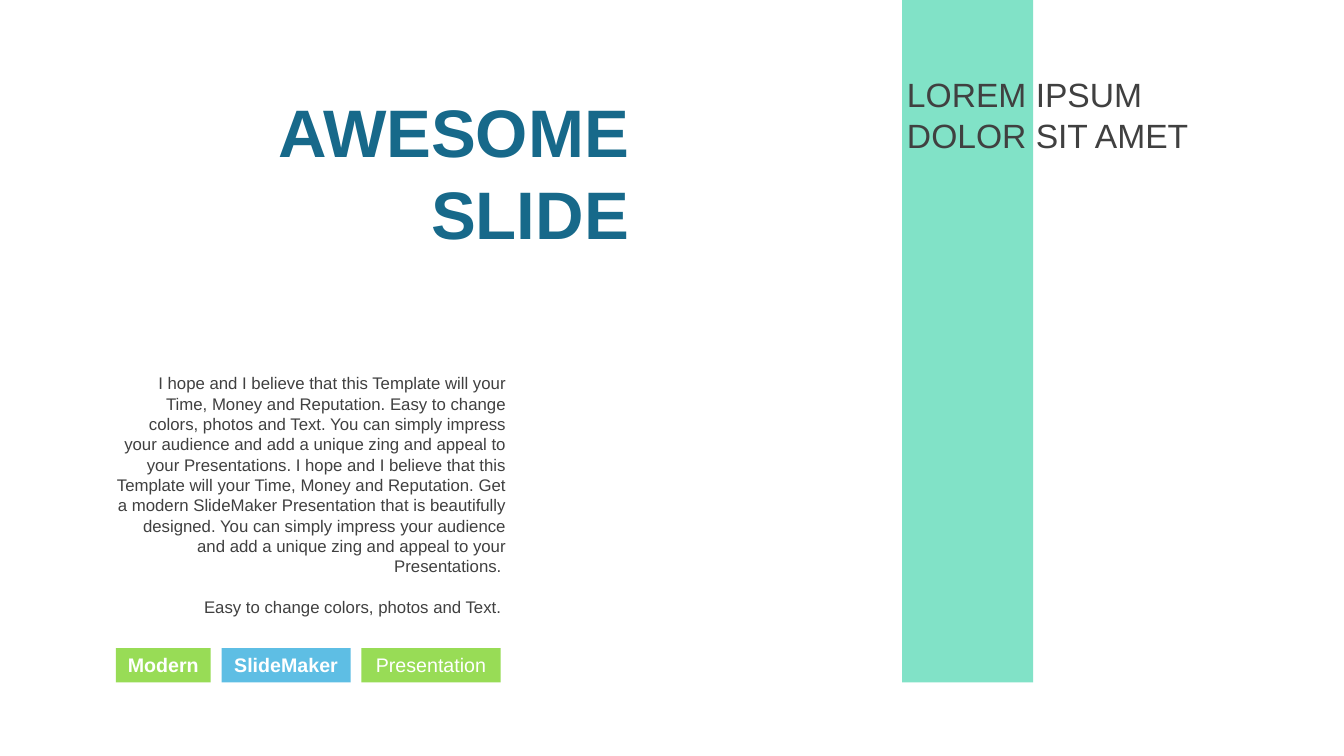
from pptx import Presentation, util as u
from pptx.dml.color import RGBColor
from pptx.enum import shapes, text
from pptx.oxml.ns import qn
from lxml import etree

FONT = "Arial"
LEADING = 1.21
WHITE, GREY, NAVY = "FFFFFF", "404040", "17698A"
GREEN, BLUE, MINT = "98DC56", "5EBEE4", "4CD6B0"

TITLE = ["AWESOME", "SLIDE"]
HEADING = ["LOREM IPSUM", "DOLOR SIT AMET"]
BODY = [
    "I hope and I believe that this Template will your Time, Money and Reputation. "
    "Easy to change colors, photos and Text. You can simply impress your audience "
    "and add a unique zing and appeal to your Presentations. I hope and I believe "
    "that this Template will your Time, Money and Reputation. Get a modern "
    "SlideMaker Presentation that is beautifully designed. You can simply impress "
    "your audience and add a unique zing and appeal to your Presentations. ",
    "Easy to change colors, photos and Text. ",
]
BADGES = [
    ("Modern", 67.7, GREEN, True),
    ("SlideMaker", 92.2, BLUE, True),
    ("Presentation", 99.4, GREEN, False),
]
BADGE_LEFT, BADGE_TOP, BADGE_HEIGHT, BADGE_GAP = 82.8, 463, 24.5, 7.75


def color(value):
    return RGBColor.from_string(value)


def add_rectangle(page, left, top, width, height, fill):
    box = page.shapes.add_shape(
        shapes.MSO_SHAPE.RECTANGLE, u.Pt(left), u.Pt(top), u.Pt(width), u.Pt(height))
    box.shadow.inherit = False
    box.fill.solid()
    box.fill.fore_color.rgb = color(fill)
    box.line.fill.background()
    return box


def add_text_box(page, left, top, width, height):
    return page.shapes.add_textbox(u.Pt(left), u.Pt(top), u.Pt(width), u.Pt(height))


def write(box, lines, size, ink, bold=False, align="LEFT", anchor="TOP", gap=0):
    frame = box.text_frame
    frame.word_wrap = True
    frame.vertical_anchor = getattr(text.MSO_ANCHOR, anchor)
    for index, line in enumerate(lines):
        para = frame.add_paragraph() if index else frame.paragraphs[0]
        para.alignment = getattr(text.PP_ALIGN, align)
        para.line_spacing = u.Pt(round(size * LEADING, 1))
        if index and gap:
            para.space_before = u.Pt(gap)
        span = para.add_run()
        span.text = line
        span.font.name = FONT
        span.font.size = u.Pt(size)
        span.font.bold = bold
        span.font.color.rgb = color(ink)


def main():
    deck = Presentation()
    deck.slide_width, deck.slide_height = u.Pt(960), u.Pt(540)
    page = deck.slides.add_slide(deck.slide_layouts[6])

    band = add_rectangle(page, 644.4, 0, 93.6, 487.5, MINT)
    tint = band.fill._xPr.find(qn("a:solidFill"))[0]
    etree.SubElement(tint, qn("a:alpha"), val="70000")

    write(add_text_box(page, 175.7, 60.5, 280.8, 123.8), TITLE, 48, NAVY,
          bold=True, align="RIGHT", anchor="MIDDLE")
    write(add_text_box(page, 74.2, 262.8, 294.5, 181.4), BODY, 12, GREY,
          align="RIGHT", gap=14.5)
    write(add_text_box(page, 640.8, 49, 223.2, 65.5), HEADING, 24, GREY,
          anchor="MIDDLE")

    left = BADGE_LEFT
    for label, width, fill, bold in BADGES:
        badge = add_rectangle(page, left, BADGE_TOP, width, BADGE_HEIGHT, fill)
        write(badge, [label], 14, WHITE, bold=bold, align="CENTER")
        left += width + BADGE_GAP

    deck.save("out.pptx")


if __name__ == "__main__":
    main()
